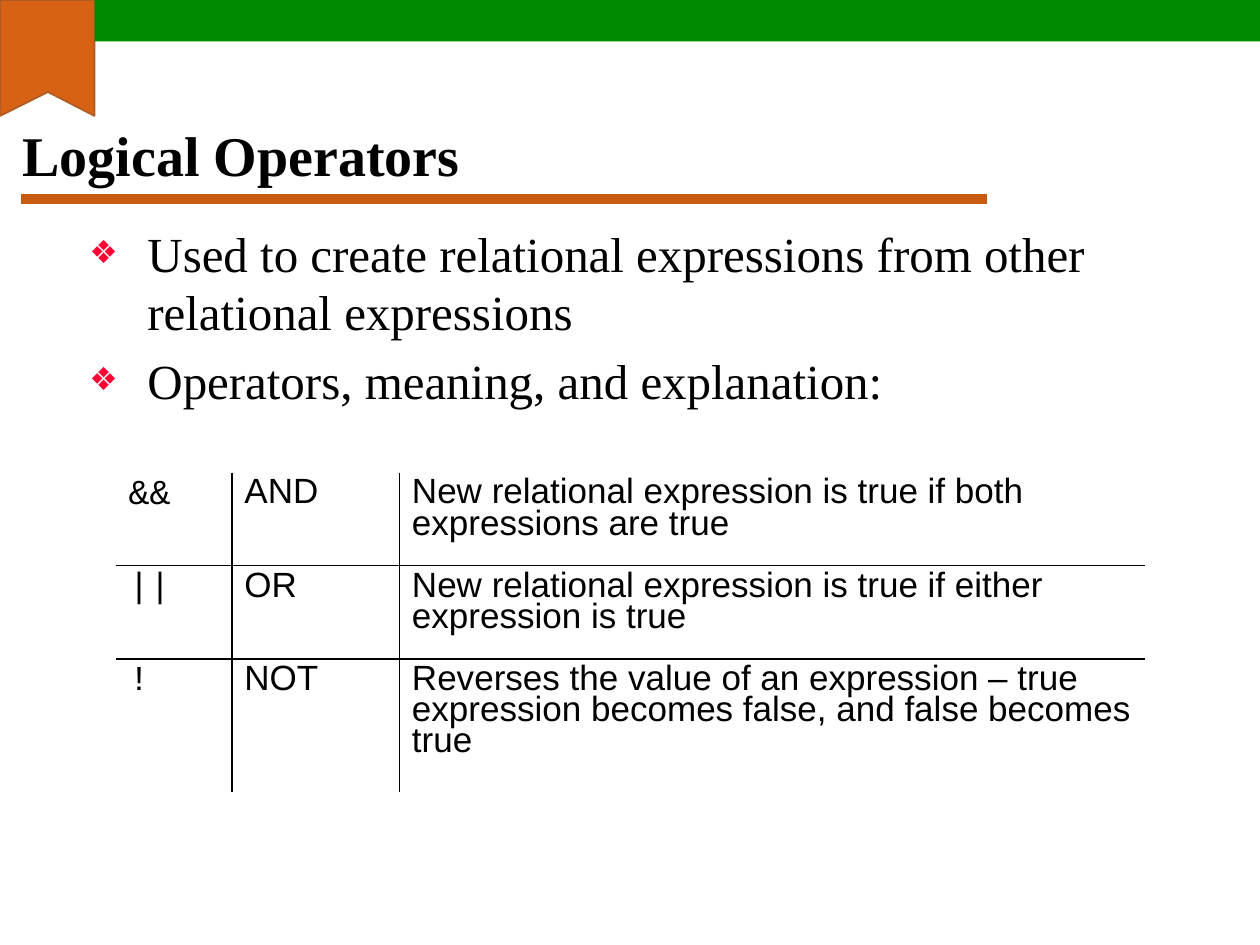
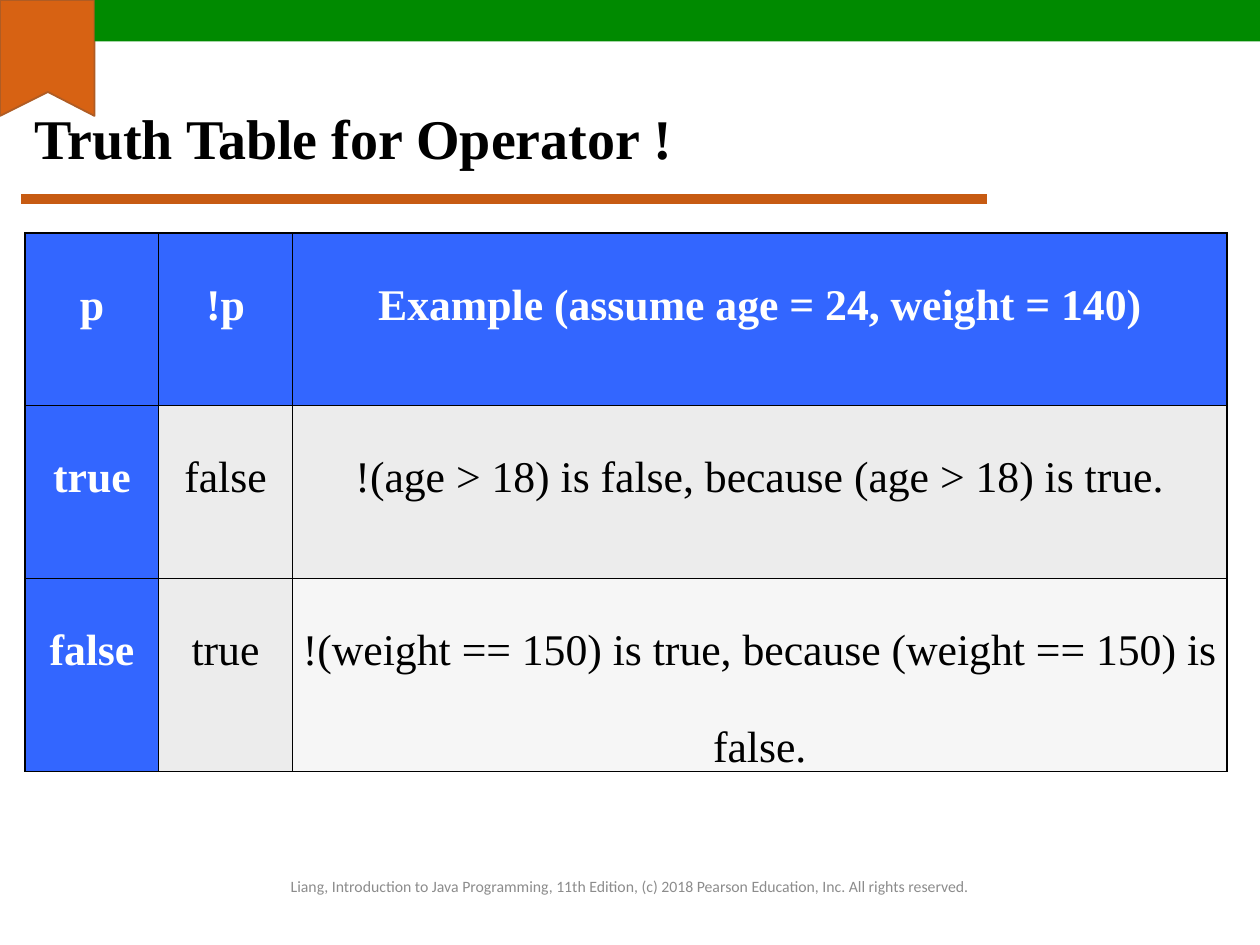
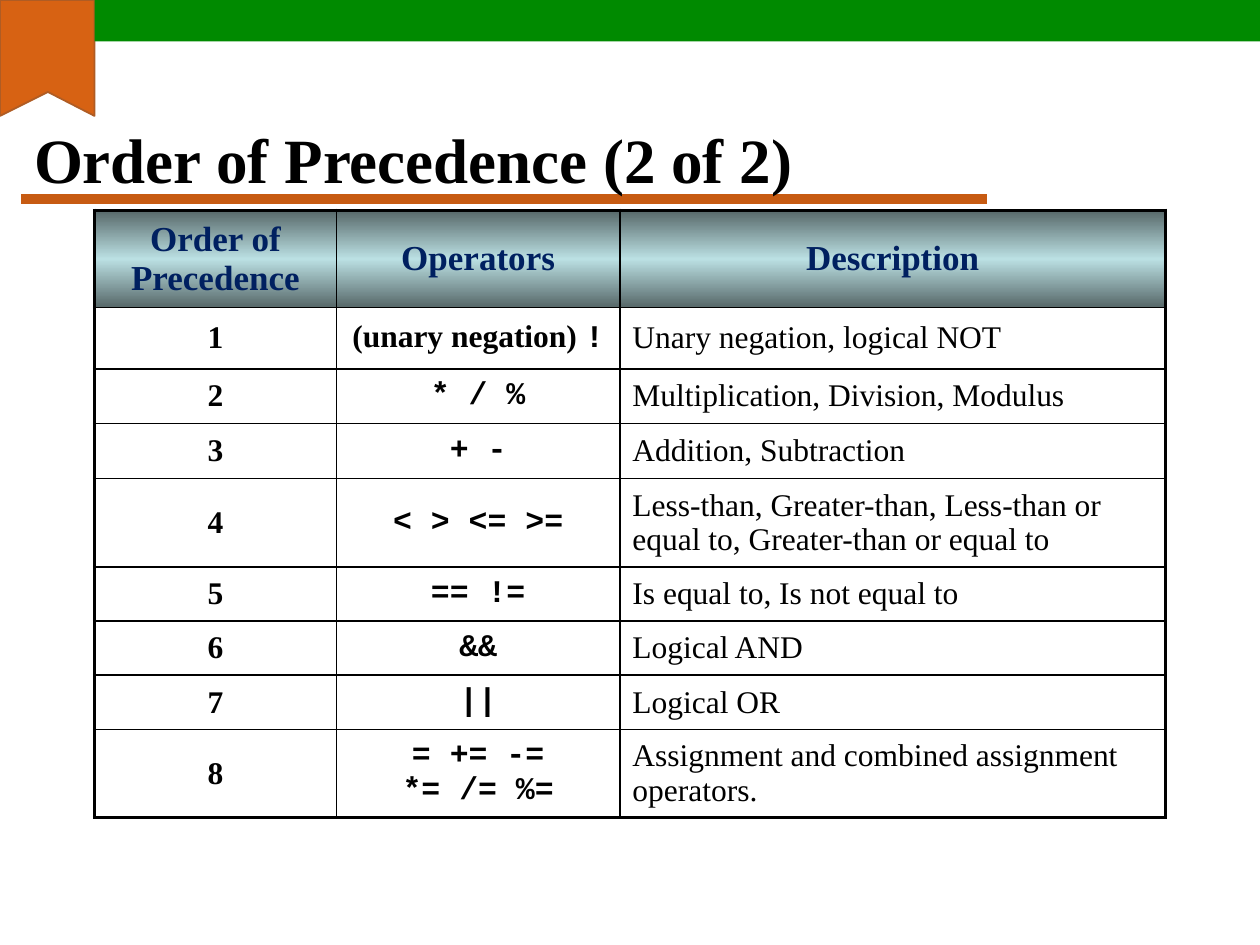
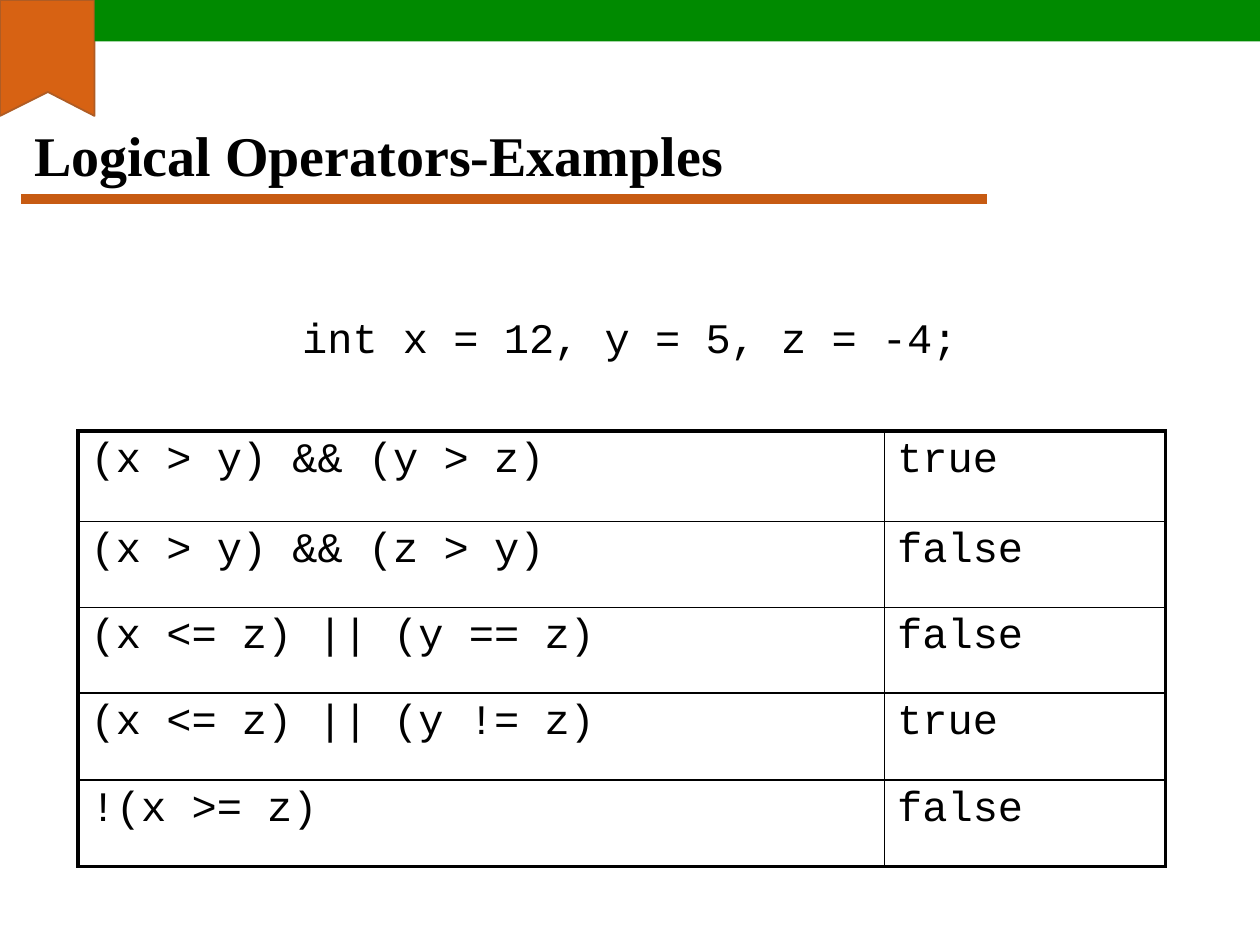
import pptx
import pptx.dml.color
import pptx.enum.shapes
import pptx.enum.text
import pptx.oxml
import pptx.oxml.ns
import pptx.util
from lxml import etree

Inches, Pt = pptx.util.Inches, pptx.util.Pt
PP_ALIGN = pptx.enum.text.PP_ALIGN
MSO_ANCHOR = pptx.enum.text.MSO_ANCHOR

COLORS = {
    "black": "000000", "white": "FFFFFF", "band": "008A00", "rule": "C75B12",
    "ribbon": "D76213", "ribbon_edge": "AF5C24", "bullet": "FF0033",
    "blue": "3366FF", "grey": "ECECEC", "light": "F6F6F6", "navy": "002060",
    "head_dark": "576869", "head_light": "BBE0E3", "footer": "8C8C8C",
}
SERIF, SANS, MONO, FOOT = "Times New Roman", "Arial", "Courier New", "Calibri"

BULLETS = [
    "Used to create relational expressions from other relational expressions",
    "Operators, meaning, and explanation:",
]
OPERATORS = [
    ("&&", "AND", "New relational expression is true if both expressions are true"),
    ("||", "OR", "New relational expression is true if either expression is true"),
    ("!", "NOT", "Reverses the value of an expression – true expression becomes false, "
                 "and false becomes true"),
]
NOT_TABLE = [
    ("p", "!p", "Example (assume age = 24, weight = 140)"),
    ("true", "false", "!(age > 18) is false, because (age > 18) is true."),
    ("false", "true", "!(weight == 150) is true, because (weight == 150) is false."),
]
COPYRIGHT = ("Liang, Introduction to Java Programming, 11th Edition, (c) 2018 "
             "Pearson Education, Inc. All rights reserved.")
PRECEDENCE = [
    ("Order of Precedence", "Operators", "Description"),
    ("1", [("(unary negation) ", SERIF), ("!", MONO)], "Unary negation, logical NOT"),
    ("2", "* / %", "Multiplication, Division, Modulus"),
    ("3", "+ -", "Addition, Subtraction"),
    ("4", "< > <= >=", "Less-than, Greater-than, Less-than or equal to, "
                       "Greater-than or equal to"),
    ("5", "== !=", "Is equal to, Is not equal to"),
    ("6", "&&", "Logical AND"),
    ("7", "||", "Logical OR"),
    ("8", "= += -=\n*= /= %=", "Assignment and combined assignment operators."),
]
DECLARATION = "int x = 12, y = 5, z = -4;"
EXAMPLES = [
    ("(x > y) && (y > z)", "true"),
    ("(x > y) && (z > y)", "false"),
    ("(x <= z) || (y == z)", "false"),
    ("(x <= z) || (y != z)", "true"),
    ("!(x >= z)", "false"),
]


def rgb(name):
    return pptx.dml.color.RGBColor.from_string(COLORS[name])


def xml(tag, body="", **attrs):
    """Return a new DrawingML element."""
    pairs = " ".join(f'{k}="{v}"' for k, v in attrs.items())
    ns = pptx.oxml.ns.nsdecls("a")
    return pptx.oxml.parse_xml(f"<a:{tag} {ns} {pairs}>{body}</a:{tag}>")


def srgb(name):
    return f'<a:srgbClr val="{COLORS[name]}"/>'


def add_run(p, text, font, size, color="black", bold=False):
    r = p.add_run()
    r.text = text
    r.font.name, r.font.size, r.font.bold = font, Pt(size), bold
    r.font.color.rgb = rgb(color)


def place(sp, left, top, width, height):
    sp.left, sp.top, sp.width, sp.height = map(Inches, (left, top, width, height))


def add_text(slide, box, text, font, size, color="black"):
    """Add a one-paragraph text box and return its frame and paragraph."""
    tf = slide.shapes.add_textbox(*map(Inches, box)).text_frame
    tf.word_wrap = True
    p = tf.paragraphs[0]
    add_run(p, text, font, size, color)
    return tf, p


def add_slide(prs, layout, title, box, size=32):
    slide = prs.slides.add_slide(prs.slide_layouts.get_by_name(layout))
    sp = slide.shapes.title
    place(sp, *box)
    tf = sp.text_frame
    tf.auto_size = pptx.enum.text.MSO_AUTO_SIZE.NONE
    tf.vertical_anchor = MSO_ANCHOR.MIDDLE
    p = tf.paragraphs[0]
    p.alignment = PP_ALIGN.LEFT
    add_run(p, title, SERIF, size, bold=True)
    return slide


def add_master_art(prs, slide):
    """Draw rule, ribbon and band, then move them behind the master's placeholders."""
    rule = slide.shapes.add_connector(
        pptx.enum.shapes.MSO_CONNECTOR.STRAIGHT,
        Inches(0.17), Inches(1.58), Inches(7.83), Inches(1.58))
    rule.line.color.rgb, rule.line.width = rgb("rule"), Pt(6)
    rule.element.spPr.append(xml("effectLst"))

    outline = [(Inches(x), Inches(y)) for x, y in
               [(0, 0), (0.75, 0), (0.75, 0.92), (0.38, 0.73), (0, 0.92)]]
    pen = slide.shapes.build_freeform(*outline[0])
    pen.add_line_segments(outline[1:], close=True)
    ribbon = pen.convert_to_shape()
    ribbon.line.color.rgb, ribbon.line.width = rgb("ribbon_edge"), Pt(1)

    band = slide.shapes.add_shape(
        pptx.enum.shapes.MSO_SHAPE.RECTANGLE,
        Inches(0.75), 0, Inches(9.25), Inches(0.33))
    band.line.fill.background()
    for sp, color in ((ribbon, "ribbon"), (band, "band")):
        sp.shadow.inherit = False
        sp.fill.solid()
        sp.fill.fore_color.rgb = rgb(color)

    tree = prs.slide_master.shapes.element
    for i, sp in enumerate((rule, ribbon, band)):
        sp.element.xpath(".//p:cNvPr")[0].set("id", str(101 + i))
        tree.insert(2 + i, sp.element)


def fill_cell(cell, content, font=SERIF, size=18, color="black", bold=False,
              align=PP_ALIGN.LEFT, spacing=None, anchor=MSO_ANCHOR.TOP,
              fill=None, insets=(0.1, 0.05)):
    """Write a string (one paragraph a line) or a list of (text, font) runs."""
    cell.vertical_anchor = anchor
    cell.margin_left = cell.margin_right = Inches(insets[0])
    cell.margin_top = cell.margin_bottom = Inches(insets[1])
    if isinstance(content, str):
        lines = [[(line, font)] for line in content.split("\n")]
    else:
        lines = [content]
    tf = cell.text_frame
    for i, runs in enumerate(lines):
        p = tf.add_paragraph() if i else tf.paragraphs[0]
        p.alignment = align
        if spacing:
            p.line_spacing = spacing
        for text, face in runs:
            add_run(p, text, face, size, color, bold)
    if fill == "gradient":
        stops = "".join(f'<a:gs pos="{pos}">{srgb(name)}</a:gs>' for pos, name in
                        ((0, "head_dark"), (50000, "head_light"), (100000, "head_dark")))
        cell.fill.background()
        tcPr = cell._tc.tcPr
        tcPr.replace(tcPr.find(pptx.oxml.ns.qn("a:noFill")),
                     xml("gradFill", f'<a:gsLst>{stops}</a:gsLst><a:lin ang="5400000"/>'))
    elif fill:
        cell.fill.solid()
        cell.fill.fore_color.rgb = rgb(fill)
    else:
        cell.fill.background()


def add_table(slide, left, top, cols, rows, data, outer, style):
    """Build a table; style(row, col) gives the cell format, outer the frame width."""
    shape = slide.shapes.add_table(len(rows), len(cols), Inches(left), Inches(top),
                                   Inches(sum(cols)), Inches(sum(rows)))
    table = shape.table
    table.first_row = table.horz_banding = False
    for col, width in zip(table.columns, cols):
        col.width = Inches(width)
    for row, height in zip(table.rows, rows):
        row.height = Inches(height)
    for r, record in enumerate(data):
        for c, content in enumerate(record):
            cell = table.cell(r, c)
            fill_cell(cell, content, **style(r, c))
            edges = {"lnL": c == 0, "lnR": c == len(cols) - 1,
                     "lnT": r == 0, "lnB": r == len(rows) - 1}
            for i, (tag, is_outer) in enumerate(edges.items()):
                width = outer if is_outer else 1
                paint = f"<a:solidFill>{srgb('black')}</a:solidFill>" if width else "<a:noFill/>"
                cell._tc.tcPr.insert(i, xml(tag, paint, w=int(Pt(width))))


def operator_style(r, c):
    return dict(font=SANS if c else MONO, size=20, spacing=0.8)


def not_style(r, c):
    head = r == 0 or c == 0
    body_fill = "light" if (r, c) == (2, 2) else "grey"
    return dict(size=25, bold=head, color="white" if head else "black",
                fill="blue" if head else body_fill, align=PP_ALIGN.CENTER,
                spacing=2.0, insets=(0.07, 0))


def precedence_style(r, c):
    style = dict(anchor=MSO_ANCHOR.MIDDLE, align=PP_ALIGN.CENTER, bold=True)
    if r == 0:
        style.update(size=20, color="navy", fill="gradient")
    elif c == 1:
        style.update(font=MONO)
    elif c == 2:
        style.update(align=PP_ALIGN.LEFT, bold=False)
    return style


def example_style(r, c):
    return dict(font=MONO, size=24)


def add_bullets(sp, items):
    place(sp, 0.5, 1.72, 9, 4.95)
    tf = sp.text_frame
    tf.auto_size = pptx.enum.text.MSO_AUTO_SIZE.NONE
    for i, text in enumerate(items):
        p = tf.add_paragraph() if i else tf.paragraphs[0]
        p.space_before = Pt(5.6 if i else 0)
        pPr = p._p.get_or_add_pPr()
        pPr.set("marL", str(Inches(0.57)))
        pPr.set("indent", str(Inches(-0.46)))
        pPr.append(xml("buClr", srgb("bullet")))
        pPr.append(xml("buSzPct", val=65000))
        pPr.append(xml("buChar", char="❖"))
        add_run(p, text, SERIF, 28)


def main():
    prs = pptx.Presentation()
    prs.slide_width, prs.slide_height = Inches(10), Inches(7.5)

    slide = add_slide(prs, "Title and Content", "Logical Operators", (0.08, 0.62, 9, 1.2))
    add_master_art(prs, slide)
    add_bullets(slide.placeholders[1], BULLETS)
    add_table(slide, 0.92, 3.75, [0.92, 1.33, 5.92], [0.74, 0.74, 1.06],
              OPERATORS, 0, operator_style)

    slide = add_slide(prs, "Title Only", "Truth Table for Operator !", (0.17, 0.34, 8.5, 1.5))
    add_table(slide, 0.2, 1.85, [1.06, 1.06, 7.42], [1.37, 1.37, 1.48],
              NOT_TABLE, 1, not_style)
    tf, p = add_text(slide, (2.11, 6.83, 5.77, 0.4), COPYRIGHT, FOOT, 9, "footer")
    tf.vertical_anchor = MSO_ANCHOR.MIDDLE
    p.alignment = PP_ALIGN.CENTER

    slide = add_slide(prs, "Title Only", "Order of Precedence (2 of 2)",
                      (0.17, 0.92, 7.08, 0.67), 36)
    add_table(slide, 0.75, 1.67, [1.92, 2.25, 4.33],
              [0.77, 0.49, 0.43, 0.44, 0.7, 0.43, 0.43, 0.43, 0.7],
              PRECEDENCE, 2.25, precedence_style)

    slide = add_slide(prs, "Title Only", "Logical Operators-Examples", (0.17, 0.62, 9, 1.2))
    tf, p = add_text(slide, (1.92, 2.5, 5.86, 0.82), DECLARATION, MONO, 24)
    p.line_spacing = 0.8
    p._p.get_or_add_pPr().set("marL", str(Inches(0.38)))
    add_table(slide, 0.62, 3.42, [6.4, 2.23], [0.72, 0.68, 0.68, 0.69, 0.69],
              EXAMPLES, 2.25, example_style)

    prs.save("out.pptx")


if __name__ == "__main__":
    main()
